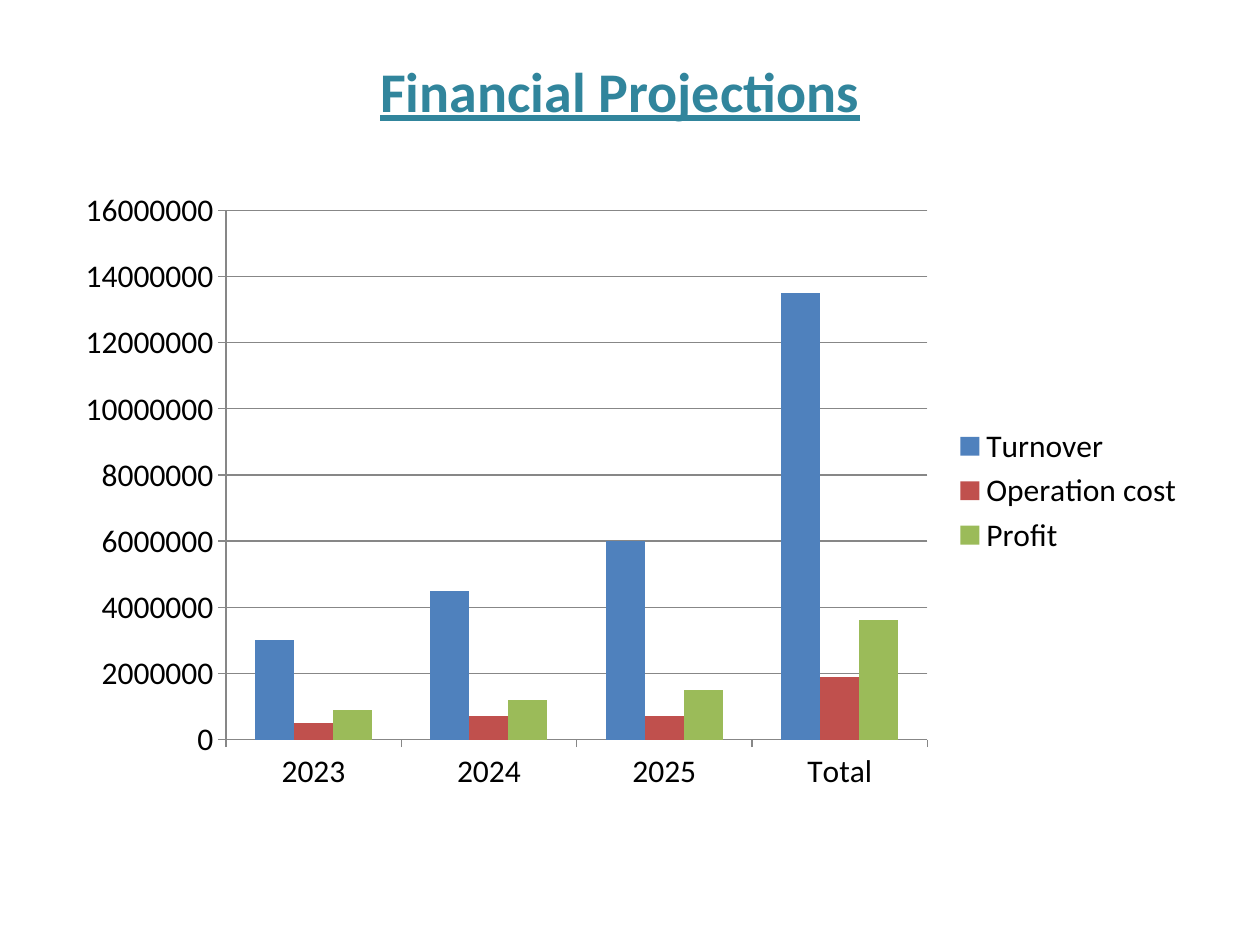
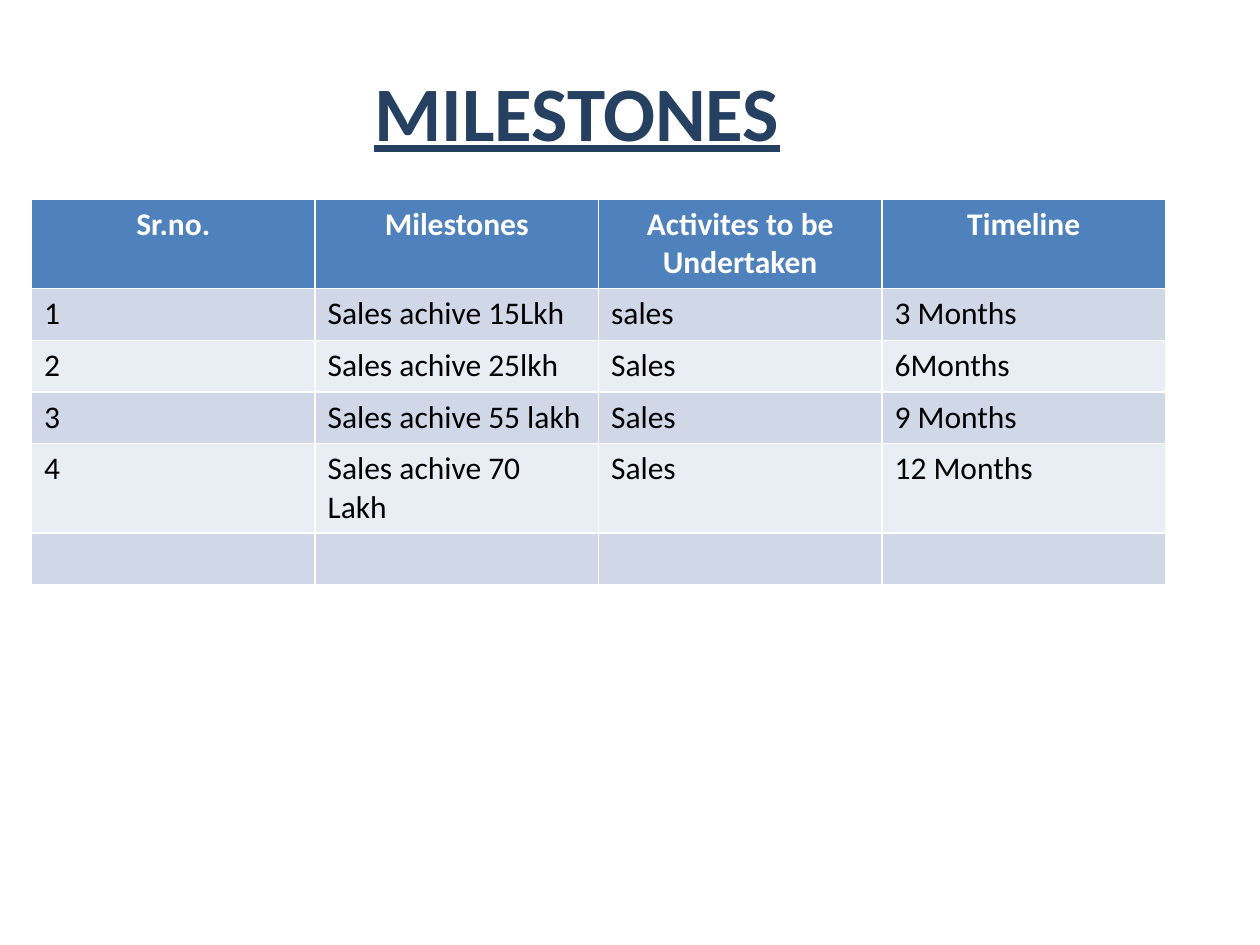
from dataclasses import dataclass
from pptx import Presentation
from pptx.chart.data import CategoryChartData
from pptx.dml.color import RGBColor as RGB
from pptx.enum.chart import XL_CHART_TYPE as ChartType, XL_LEGEND_POSITION as LegendPosition
from pptx.enum.chart import XL_TICK_MARK as TickMark
from pptx.enum.text import MSO_ANCHOR as Anchor, MSO_AUTO_SIZE as AutoSize, PP_ALIGN as Align
from pptx.util import Inches, Pt


@dataclass(frozen=True)
class Theme:
    font: str = "Calibri"
    teal: RGB = RGB.from_string("31859C")
    navy: RGB = RGB.from_string("254061")
    blue: RGB = RGB.from_string("4F81BD")
    red: RGB = RGB.from_string("C0504D")
    green: RGB = RGB.from_string("9BBB59")
    grid: RGB = RGB.from_string("878787")
    band_dark: RGB = RGB.from_string("D0D8E8")
    band_light: RGB = RGB.from_string("E9EDF4")
    black: RGB = RGB.from_string("000000")
    white: RGB = RGB.from_string("FFFFFF")
    body_size: Pt = Pt(18)
    chart_title_size: Pt = Pt(32)
    table_title_size: Pt = Pt(44)


theme = Theme()
deck = Presentation()
deck.slide_width, deck.slide_height = Inches(10), Inches(7.5)
content_width = int(deck.slide_width * 0.9)


def format_font(font, size, color, bold=False):
    font.name = theme.font
    font.size = size
    font.bold = bold
    font.color.rgb = color


def add_titled_slide(text, left, size, color, bottom_margin):
    page = deck.slides.add_slide(deck.slide_layouts[5])
    title = page.shapes.title
    title.left, title.top = left, Inches(0.25)
    title.width, title.height = content_width, Inches(1.25)
    frame = title.text_frame
    frame.text = text
    frame.word_wrap = True
    frame.auto_size = AutoSize.NONE
    frame.vertical_anchor = Anchor.MIDDLE
    frame.margin_bottom = bottom_margin
    para = frame.paragraphs[0]
    para.alignment = Align.CENTER
    span = para.runs[0]
    format_font(span.font, size, color, bold=True)
    span.font.underline = True
    return page


projections = add_titled_slide(
    "Financial Projections", Inches(0.42), theme.chart_title_size, theme.teal, Inches(0.37))

series_rows = [
    ("Turnover", (3000000, 4500000, 6000000, 13500000), theme.blue),
    ("Operation cost", (500000, 700000, 700000, 1900000), theme.red),
    ("Profit", (900000, 1200000, 1500000, 3600000), theme.green),
]
chart_data = CategoryChartData()
chart_data.categories = ["2023", "2024", "2025", "Total"]
for name, values, color in series_rows:
    chart_data.add_series(name, values)

chart = projections.shapes.add_chart(
    ChartType.COLUMN_CLUSTERED, Inches(0.5), Inches(1.42),
    content_width, int(deck.slide_height * 0.66), chart_data).chart
format_font(chart.font, theme.body_size, theme.black)
chart.has_title = False
chart.has_legend = True
chart.legend.position = LegendPosition.RIGHT
chart.legend.include_in_layout = False

plot = chart.plots[0]
plot.gap_width = 150
plot.overlap = 0
plot.vary_by_categories = False
for series, (name, values, color) in zip(plot.series, series_rows):
    series.format.fill.solid()
    series.format.fill.fore_color.rgb = color

value_axis = chart.value_axis
value_axis.minimum_scale = 0
value_axis.maximum_scale = 16000000
value_axis.major_unit = 2000000
value_axis.has_major_gridlines = True
for axis in (chart.category_axis, value_axis):
    axis.major_tick_mark = TickMark.OUTSIDE
for lined in (chart.category_axis, value_axis, value_axis.major_gridlines):
    lined.format.line.color.rgb = theme.grid
    lined.format.line.width = Pt(0.75)

milestones = add_titled_slide(
    "MILESTONES", Inches(0.08), theme.table_title_size, theme.navy, Inches(0.05))

table_rows = [
    ("Sr.no.", "Milestones", "Activites to be Undertaken", "Timeline"),
    ("1", "Sales achive 15Lkh", "sales", "3 Months"),
    ("2", "Sales achive 25lkh", "Sales", "6Months"),
    ("3", "Sales achive 55 lakh", "Sales", "9 Months"),
    ("4", "Sales achive 70 Lakh", "Sales", "12 Months"),
    ("", "", "", ""),
]
row_height = Inches(0.41)
table = milestones.shapes.add_table(
    len(table_rows), len(table_rows[0]), Inches(0.25), Inches(1.58),
    content_width, row_height * len(table_rows)).table
for row_index, texts in enumerate(table_rows):
    is_header = row_index == 0
    band = theme.band_dark if row_index % 2 else theme.band_light
    for column_index, text in enumerate(texts):
        cell = table.cell(row_index, column_index)
        cell.fill.solid()
        cell.fill.fore_color.rgb = theme.blue if is_header else band
        para = cell.text_frame.paragraphs[0]
        para.text = text
        para.alignment = Align.CENTER if is_header else Align.LEFT
        for span in para.runs:
            format_font(span.font, theme.body_size,
                        theme.white if is_header else theme.black, bold=is_header)

deck.save("out.pptx")
